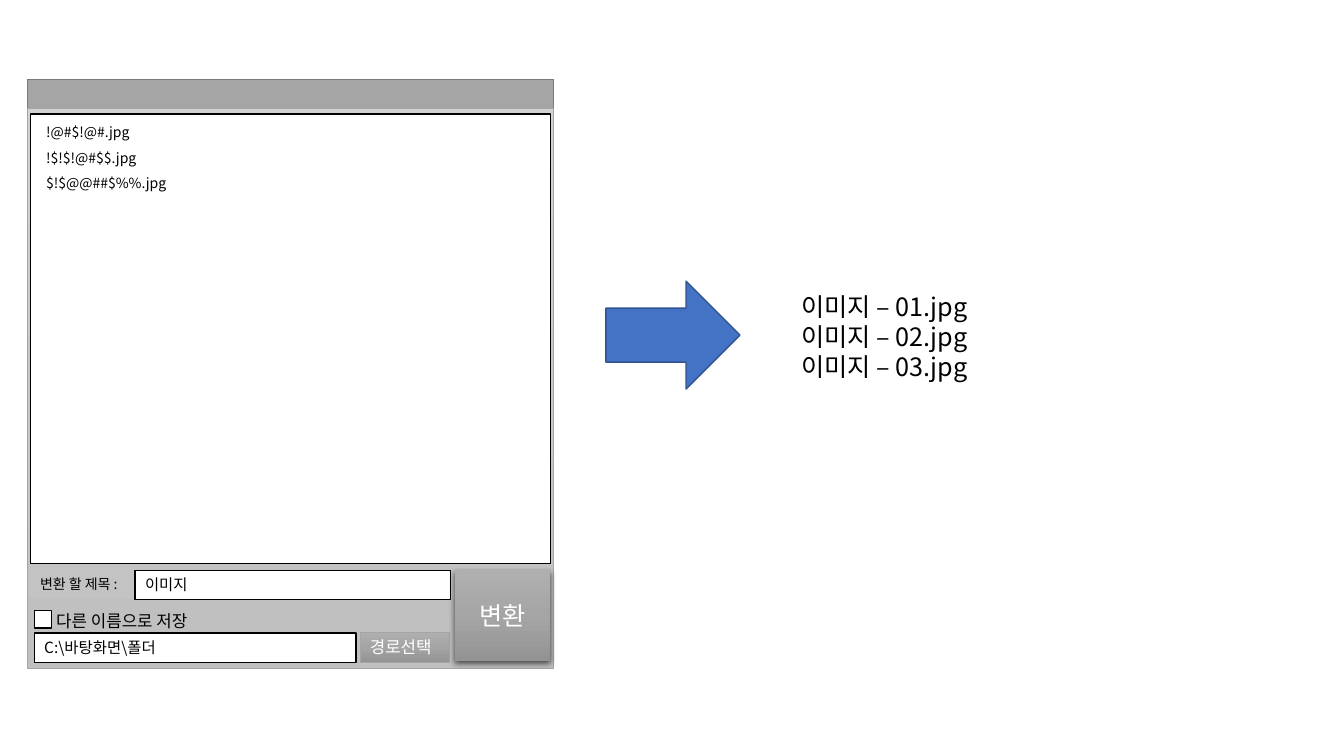
from dataclasses import dataclass
from lxml.etree import SubElement
from pptx import Presentation
from pptx.dml.color import RGBColor
from pptx.enum.shapes import MSO_SHAPE
from pptx.enum.text import MSO_ANCHOR, PP_ALIGN
from pptx.oxml.ns import qn
from pptx.shapes.autoshape import Shape
from pptx.util import Inches, Pt

FONT = "Noto Sans CJK KR"
WINDOW_GRADIENT = ("D2D2D2", "C8C8C8", "C0C0C0")
BUTTON_GRADIENT = ("AFAFAF", "A5A5A5", "939393")


@dataclass(frozen=True)
class Box:
    left: float
    top: float
    width: float
    height: float
    fill: tuple[str, ...] = ()
    border: str = ""
    border_width: float = 1
    lines: tuple[str, ...] = ()
    size: float = 10
    ink: str = "000000"
    centred: bool = False
    raised: bool = False
    outline: MSO_SHAPE = MSO_SHAPE.RECTANGLE


def colour(value: str) -> RGBColor:
    return RGBColor.from_string(value)


def paint(shape: Shape, fill: tuple[str, ...]) -> None:
    if len(fill) == 1:
        shape.fill.solid()
        shape.fill.fore_color.rgb = colour(fill[0])
        return
    shape.fill.gradient()
    shape.fill.gradient_angle = 270
    stops = shape._element.spPr.find(qn("a:gradFill")).find(qn("a:gsLst"))
    stops.clear()
    for index, value in enumerate(fill):
        position = 100000 * index // (len(fill) - 1)
        stop = SubElement(stops, qn("a:gs"), pos=str(position))
        SubElement(stop, qn("a:srgbClr"), val=value)


def raise_up(shape: Shape) -> None:
    effects = shape._element.spPr.find(qn("a:effectLst"))
    shadow = SubElement(effects, qn("a:outerShdw"), blurRad=str(Pt(4.5)),
                        dist=str(Pt(1.5)), dir="5400000", rotWithShape="0")
    tint = SubElement(shadow, qn("a:srgbClr"), val="000000")
    SubElement(tint, qn("a:alpha"), val="63000")


def write(shape: Shape, box: Box) -> None:
    frame = shape.text_frame
    frame.word_wrap = True
    frame.vertical_anchor = MSO_ANCHOR.MIDDLE if box.centred else MSO_ANCHOR.TOP
    for index, line in enumerate(box.lines):
        paragraph = frame.add_paragraph() if index else frame.paragraphs[0]
        paragraph.alignment = PP_ALIGN.CENTER if box.centred else PP_ALIGN.LEFT
        paragraph.line_spacing = Pt(box.size * 1.2)
        run = paragraph.add_run()
        run.text = line
        run.font.size = Pt(box.size)
        run.font.name = FONT
        run.font.color.rgb = colour(box.ink)
        SubElement(run._r.get_or_add_rPr(), qn("a:ea"), typeface=FONT)


def draw(shapes, box: Box) -> None:
    area = [Inches(n) for n in (box.left, box.top, box.width, box.height)]
    if box.fill:
        shape = shapes.add_shape(box.outline, *area)
        shape.shadow.inherit = False
        paint(shape, box.fill)
        if box.border:
            shape.line.color.rgb = colour(box.border)
            shape.line.width = Pt(box.border_width)
        else:
            shape.line.fill.background()
    else:
        shape = shapes.add_textbox(*area)
    if box.raised:
        raise_up(shape)
    if box.lines:
        write(shape, box)


def field(left: float, top: float, width: float, height: float, *lines: str) -> Box:
    return Box(left, top, width, height, ("FFFFFF",), "000000", lines=lines, size=11)


FILE_NAMES = ("!@#$!@#.jpg", "!$!$!@#$$.jpg", "$!$@@##$%%.jpg")

WINDOW = (
    Box(0.27, 0.79, 5.22, 5.83, ("A5A5A5",), "7A7A7A"),
    Box(0.27, 1.08, 5.22, 5.55, WINDOW_GRADIENT, "A5A5A5", 0.5),
    field(0.3, 1.13, 5.16, 4.46),
    field(0.34, 6.06, 0.17, 0.17),
    Box(0.46, 6.01, 3.07, 0.3, lines=("다른 이름으로 저장",), size=12),
    field(0.34, 6.28, 3.19, 0.29, r"C:\바탕화면\폴더"),
    Box(3.57, 6.27, 0.89, 0.3, BUTTON_GRADIENT, "A5A5A5", 0.5,
        ("경로선택",), 12, "FFFFFF"),
    *(Box(0.36, 1.18 + 0.25 * row, 5.81, 0.27, lines=(name,))
      for row, name in enumerate(FILE_NAMES)),
    Box(0.3, 5.66, 1.06, 0.27, lines=("변환 할 제목 :",)),
    field(1.34, 5.66, 3.13, 0.29, "이미지"),
    Box(4.51, 5.66, 0.95, 0.9, BUTTON_GRADIENT, lines=("변환",), size=18,
        ink="FFFFFF", centred=True, raised=True),
)

RESULT = (
    Box(6.01, 2.79, 1.33, 1.07, ("4472C4",), "325491",
        outline=MSO_SHAPE.RIGHT_ARROW),
    Box(7.85, 2.84, 2.69, 1.01, size=18,
        lines=tuple(f"이미지 – {number:02}.jpg" for number in (1, 2, 3))),
)


def main() -> None:
    presentation = Presentation()
    presentation.slide_width = Inches(13.33)
    presentation.slide_height = Inches(7.5)
    slide = presentation.slides.add_slide(presentation.slide_layouts[6])
    window = slide.shapes.add_group_shape()
    for box in WINDOW:
        draw(window.shapes, box)
    for box in RESULT:
        draw(slide.shapes, box)
    presentation.save("out.pptx")


if __name__ == "__main__":
    main()
